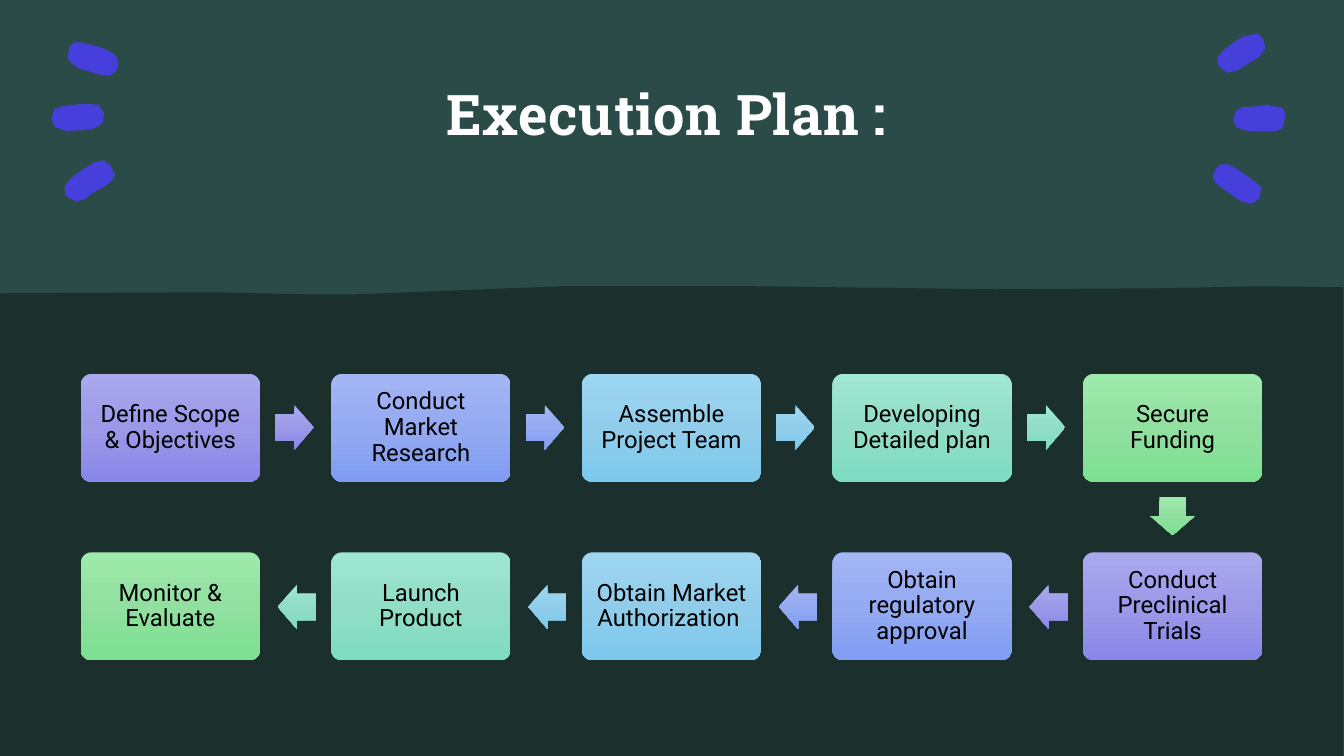
"""Build the execution plan slide: a title above a ten-step process."""
from copy import deepcopy

from pptx import Presentation
from pptx.dml.color import RGBColor
from pptx.enum.shapes import MSO_SHAPE
from pptx.enum.text import MSO_ANCHOR, MSO_AUTO_SIZE, PP_ALIGN
from pptx.oxml.ns import qn
from pptx.util import Inches, Pt

RECT, BOX, ARROW = MSO_SHAPE.RECTANGLE, MSO_SHAPE.ROUNDED_RECTANGLE, MSO_SHAPE.RIGHT_ARROW
TOP, MIDDLE, CENTER, NO_FIT = MSO_ANCHOR.TOP, MSO_ANCHOR.MIDDLE, PP_ALIGN.CENTER, MSO_AUTO_SIZE.NONE

COLORS = {"dark": "1B2F2D", "teal": "2B4B48", "mark": "473FDC", "white": "FFFFFF", "black": "000000"}
GRADIENTS = {
    "purple": ("AAA8ED", "9C99E9", "8986EA"),
    "indigo": ("A3B6F4", "94AAF1", "809CF3"),
    "blue": ("9ED6F2", "91CDEB", "7CC9ED"),
    "mint": ("9FE7D1", "92DDC7", "7DDCC1"),
    "green": ("9EEAAC", "91E0A0", "7CE090"),
}
TOP_STEPS = ["Define Scope & Objectives", "Conduct Market Research", "Assemble Project Team",
             "Developing Detailed plan", "Secure Funding"]
BOTTOM_STEPS = ["Conduct Preclinical Trials", "Obtain regulatory approval",
                "Obtain Market Authorization ", "Launch Product", "Monitor & Evaluate"]
LEFT, RIGHT, TOP_Y, BOTTOM_Y = 0.8, 10.74, 3.71, 5.48
PITCH = (RIGHT - LEFT) / (len(TOP_STEPS) - 1)
BOX_W, BOX_H, ARROW_W, ARROW_H = 1.78, 1.07, 0.38, 0.44
MARKS = [
    [(0.81, 0.42), (0.73, 0.42), (0.69, 0.47), (0.67, 0.58), (0.72, 0.64), (0.79, 0.68),
     (0.98, 0.74), (1.09, 0.75), (1.15, 0.71), (1.17, 0.65), (1.16, 0.57), (1.11, 0.52), (1, 0.47)],
    [(0.92, 1.28), (0.83, 1.29), (0.66, 1.3), (0.54, 1.26), (0.51, 1.17), (0.54, 1.08),
     (0.64, 1.05), (0.83, 1.03), (0.97, 1.04), (1.03, 1.12), (1.02, 1.22)],
    [(1.09, 1.81), (1.02, 1.86), (0.91, 1.92), (0.85, 1.97), (0.75, 2), (0.65, 1.94),
     (0.64, 1.85), (0.7, 1.77), (0.78, 1.71), (0.84, 1.67), (0.94, 1.61), (1.03, 1.59),
     (1.1, 1.65), (1.14, 1.74)],
    [(12.12, 0.51), (12.25, 0.41), (12.34, 0.36), (12.47, 0.33), (12.53, 0.39), (12.55, 0.48),
     (12.49, 0.56), (12.27, 0.7), (12.17, 0.72), (12.09, 0.66), (12.07, 0.58)],
    [(12.65, 1.3), (12.54, 1.3), (12.4, 1.3), (12.33, 1.29), (12.26, 1.26), (12.23, 1.17),
     (12.26, 1.1), (12.32, 1.06), (12.41, 1.06), (12.57, 1.04), (12.72, 1.07), (12.75, 1.14),
     (12.72, 1.27)],
    [(12.04, 1.79), (12.03, 1.74), (12.06, 1.67), (12.11, 1.63), (12.18, 1.63), (12.26, 1.67),
     (12.43, 1.79), (12.51, 1.86), (12.49, 1.97), (12.42, 2.02), (12.31, 2), (12.1, 1.85)],
]
WAVE = [(0, 2.91), (2.13, 2.9), (3.05, 2.92), (3.53, 2.92), (5.57, 2.84), (7.5, 2.84),
        (9.87, 2.87), (11.53, 2.86), (12.5, 2.84), (13.32, 2.85), (13.32, 7.5), (0, 7.5)]


def rgb(name):
    """Return the named colour."""
    return RGBColor.from_string(COLORS[name])


def write(tf, text, *, font, size, color, bold=False, spacing=None, line=1.0, inset=0,
          anchor=MIDDLE):
    """Write one centred paragraph into a text frame."""
    tf.word_wrap, tf.auto_size, tf.vertical_anchor = True, NO_FIT, anchor
    tf.margin_left = tf.margin_right = tf.margin_top = tf.margin_bottom = Inches(inset)
    p = tf.paragraphs[0]
    p.alignment, p.line_spacing = CENTER, line
    r = p.add_run()
    r.text = text
    r.font.name, r.font.size, r.font.bold = font, Pt(size), bold
    r.font.color.rgb = rgb(color)
    if spacing:
        r.font._element.set("spc", str(spacing))


def add_shape(s, kind, x, y, w, h):
    """Add a preset shape without line or shadow."""
    sp = s.shapes.add_shape(kind, Inches(x), Inches(y), Inches(w), Inches(h))
    sp.shadow.inherit = False
    sp.line.fill.background()
    return sp


def shade(sp, name):
    """Fill a shape with a three-stop gradient that runs down the slide."""
    sp.fill.gradient()
    sp.fill.gradient_angle = (270 + sp.rotation) % 360
    stop_list = sp.element.spPr.find(".//" + qn("a:gsLst"))
    stop_list.insert(1, deepcopy(stop_list[0]))
    for i, (stop, color) in enumerate(zip(sp.fill.gradient_stops, GRADIENTS[name])):
        stop.position = i / 2
        stop.color.rgb = RGBColor.from_string(color)


def add_outline(s, points, color):
    """Add a filled freeform through points given in inches."""
    pts = [(Inches(x), Inches(y)) for x, y in points]
    builder = s.shapes.build_freeform(*pts[0])
    builder.add_line_segments(pts[1:], close=True)
    sp = builder.convert_to_shape()
    sp.shadow.inherit = False
    sp.fill.solid()
    sp.fill.fore_color.rgb = rgb(color)
    sp.line.fill.background()


def add_step(s, text, x, y, gradient):
    """Add one step box with its label."""
    sp = add_shape(s, BOX, x, y, BOX_W, BOX_H)
    sp.adjustments[0] = 0.1
    shade(sp, gradient)
    write(sp.text_frame, text, font="Roboto", size=17, color="black", line=0.9, inset=0.07)


def add_arrow(s, x, y, gradient, rotation=0):
    """Add one block arrow between steps."""
    sp = add_shape(s, ARROW, x, y, ARROW_W, ARROW_H)
    sp.adjustments[0], sp.adjustments[1] = 0.6, 0.5
    sp.rotation = rotation
    shade(sp, gradient)


def add_process(s):
    """Add both rows of steps, the lower one running right to left."""
    names = list(GRADIENTS)
    last = len(names) - 1
    for i, (name, text) in enumerate(zip(names, TOP_STEPS)):
        x = LEFT + i * PITCH
        add_step(s, text, x, TOP_Y, name)
        if i < last:
            add_arrow(s, x + 1.93, TOP_Y + 0.31, name)
        else:
            add_arrow(s, x + 0.7, TOP_Y + 1.19, name, 90)
    for i, (name, text) in enumerate(zip(names, BOTTOM_STEPS)):
        x = RIGHT - i * PITCH
        add_step(s, text, x, BOTTOM_Y, name)
        if i < last:
            add_arrow(s, x - 0.53, BOTTOM_Y + 0.32, name, 180)


def main():
    """Build and save the slide."""
    prs = Presentation()
    prs.slide_width, prs.slide_height = Inches(13.33), Inches(7.5)
    s = prs.slides.add_slide(prs.slide_layouts[5])
    s.background.fill.solid()
    s.background.fill.fore_color.rgb = rgb("dark")

    title = s.shapes.title
    title.left, title.top = Inches(1.78), Inches(0.79)
    title.width, title.height = Inches(9.66), Inches(0.75)
    write(title.text_frame, "Execution Plan :", font="Roboto Slab", size=40, color="white",
          bold=True, spacing=40, anchor=TOP)

    backdrop = add_shape(s, RECT, 0, 0, 13.33, 7.5)
    backdrop.fill.solid()
    backdrop.fill.fore_color.rgb = rgb("teal")
    title.element.addprevious(backdrop.element)

    for mark in MARKS:
        add_outline(s, mark, "mark")
    add_outline(s, WAVE, "dark")
    add_process(s)
    prs.save("out.pptx")


if __name__ == "__main__":
    main()
